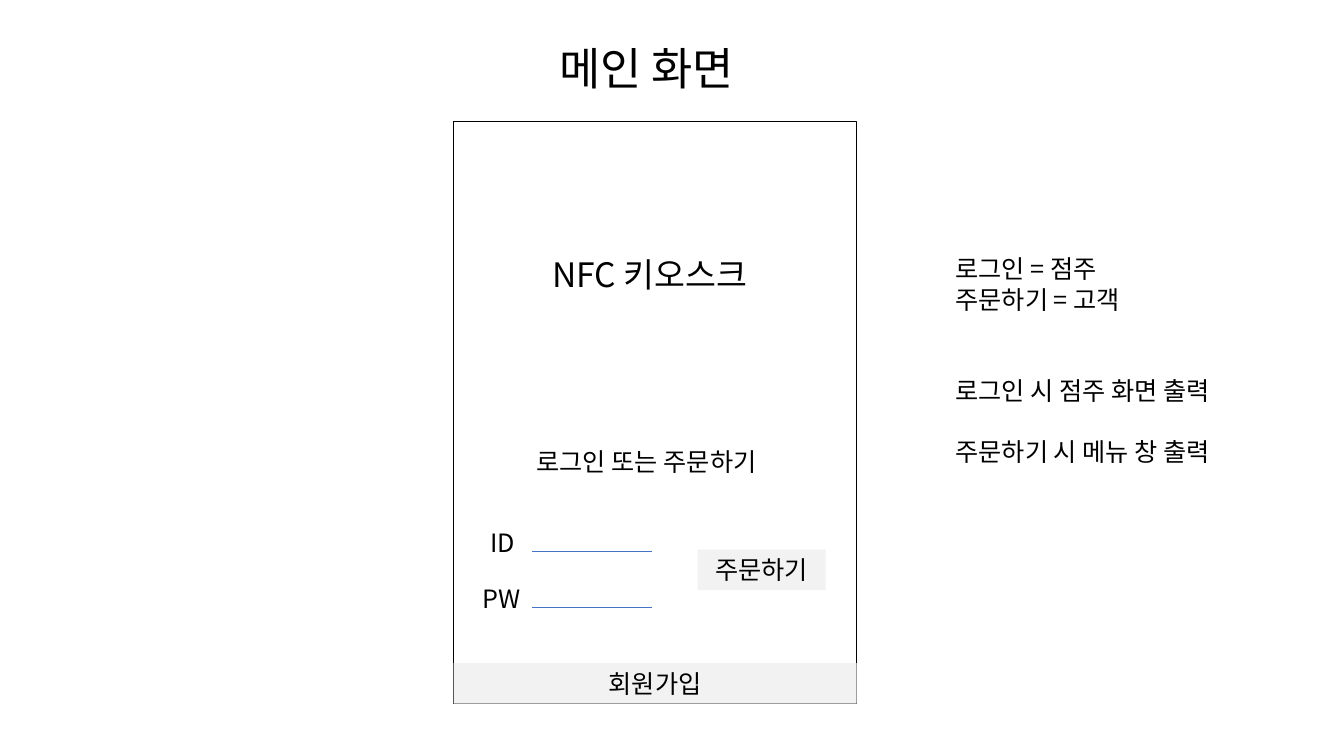
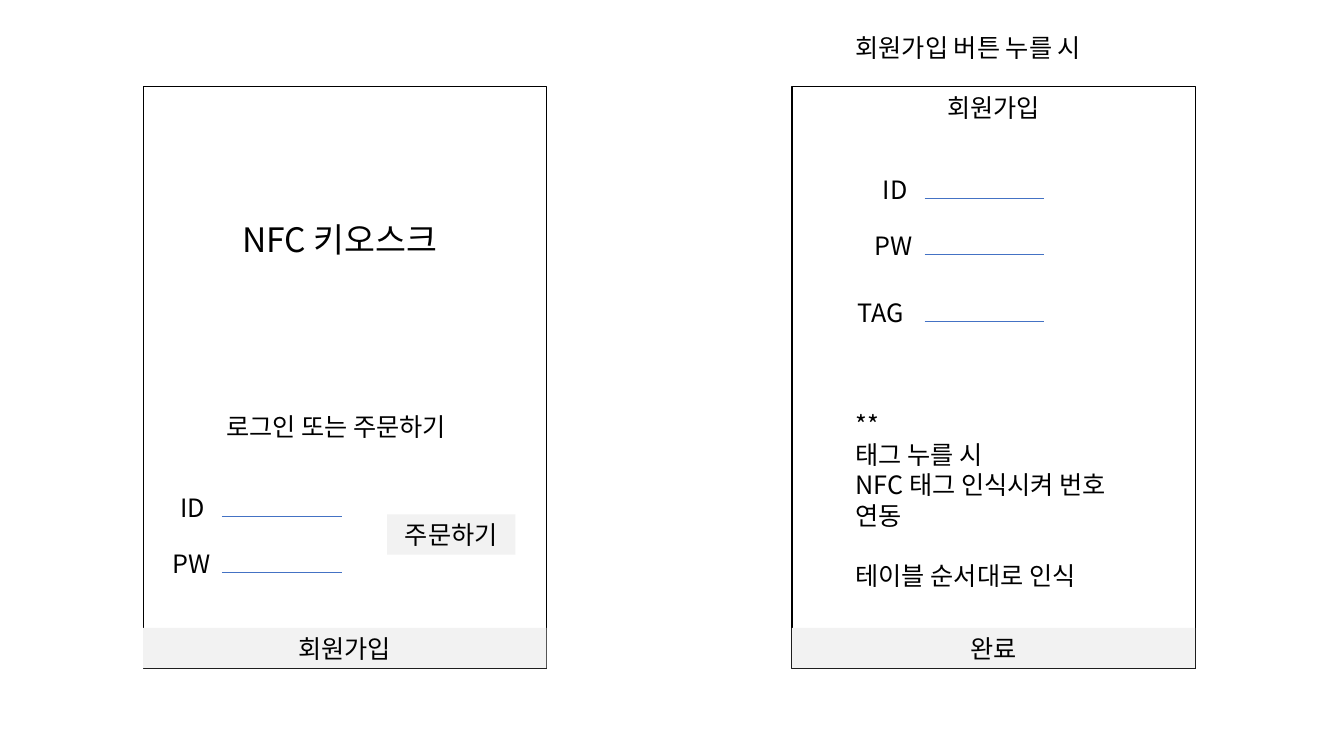
from lxml import etree
from pptx import Presentation
from pptx.dml.color import RGBColor
from pptx.enum.shapes import MSO_CONNECTOR, MSO_SHAPE
from pptx.enum.text import MSO_ANCHOR, PP_ALIGN
from pptx.oxml.ns import qn
from pptx.util import Cm, Pt

RECT = MSO_SHAPE.RECTANGLE
STRAIGHT = MSO_CONNECTOR.STRAIGHT
MIDDLE = MSO_ANCHOR.MIDDLE
LEFT, CENTER = PP_ALIGN.LEFT, PP_ALIGN.CENTER

FONT = "Noto Sans CJK KR"
BLACK, GRAY, BLUE = "000000", "F2F2F2", "4472C4"
BODY, HEADING, TITLE = 18, 24, 32
BLANK_LINE = 21.75

SCREEN_W, SCREEN_H = 10.16, 14.66
ROW_H = 1.02
FIELD_W = 3.02
LABEL_W = {"ID": 1.35, "PW": 1.55, "TAG": 1.98}


def color(value):
    return RGBColor.from_string(value)


def write(tf, lines, size=BODY, align=LEFT):
    tf.word_wrap = True
    for i, (text, blanks) in enumerate(lines):
        p = tf.add_paragraph() if i else tf.paragraphs[0]
        p.text = text
        p.alignment = align
        p.space_before = Pt(blanks * BLANK_LINE)
        p.font.size = Pt(size)
        p.font.color.rgb = color(BLACK)
        p.font.name = FONT
        props = p._p.pPr.find(qn("a:defRPr"))
        etree.SubElement(props, qn("a:ea")).set("typeface", FONT)


def add_text(slide, x, y, w, h, lines, size=BODY, align=LEFT):
    if isinstance(lines, str):
        lines = [(lines, 0)]
    sp = slide.shapes.add_textbox(Cm(x), Cm(y), Cm(w), Cm(h))
    write(sp.text_frame, lines, size, align)


def add_rect(slide, x, y, w, h):
    sp = slide.shapes.add_shape(RECT, Cm(x), Cm(y), Cm(w), Cm(h))
    sp.shadow.inherit = False
    return sp


def add_frame(slide, x, y):
    sp = add_rect(slide, x, y, SCREEN_W, SCREEN_H)
    sp.fill.background()
    sp.line.color.rgb = color(BLACK)
    sp.line.width = Pt(0.75)


def add_button(slide, x, y, w, text):
    sp = add_rect(slide, x, y, w, ROW_H)
    sp.fill.solid()
    sp.fill.fore_color.rgb = color(GRAY)
    sp.line.fill.background()
    sp.text_frame.vertical_anchor = MIDDLE
    write(sp.text_frame, [(text, 0)], align=CENTER)


def add_footer_button(slide, x, y, text):
    add_button(slide, x, y + SCREEN_H - ROW_H, SCREEN_W, text)


def add_field(slide, x, y, label):
    w = LABEL_W[label]
    add_text(slide, x + 0.05 - w, y - 0.73, w, ROW_H, label)
    line = slide.shapes.add_connector(STRAIGHT, Cm(x), Cm(y), Cm(x + FIELD_W), Cm(y))
    line.line.color.rgb = color(BLUE)
    line.line.width = Pt(0.5)
    etree.SubElement(line._element.spPr, qn("a:effectLst"))


def add_main_screen(slide, x, y):
    add_frame(slide, x, y)
    add_text(slide, x + 2.24, y + 3.2, 5.89, 1.27, "NFC 키오스크", HEADING)
    add_text(slide, x + 1.84, y + 8.05, 7.32, ROW_H, "로그인 또는 주문하기")
    for label, dy in (("ID", 10.82), ("PW", 12.24)):
        add_field(slide, x + 1.98, y + dy, label)
    add_button(slide, x + 6.15, y + 10.78, 3.23, "주문하기")
    add_footer_button(slide, x, y, "회원가입")


def add_signup_screen(slide, x, y):
    add_frame(slide, x, y)
    add_text(slide, x, y + 0.03, SCREEN_W, ROW_H, "회원가입", align=CENTER)
    for label, dy in (("ID", 2.82), ("PW", 4.24), ("TAG", 5.92)):
        add_field(slide, x + 3.34, y + dy, label)
    add_text(slide, x + 1.35, y + 8.01, 7.72, 4.88, [
        ("**", 0),
        ("태그 누를 시", 0),
        ("NFC 태그 인식시켜 번호 연동", 0),
        ("테이블 순서대로 인식", 1),
    ])
    add_footer_button(slide, x, y, "완료")


def build_main_slide(slide):
    add_text(slide, 13.84, 0.89, 6.12, 1.63, "메인 화면", TITLE)
    add_main_screen(slide, 11.43, 3.07)
    add_text(slide, 23.83, 6.27, 8.23, 5.64, [
        ("로그인 = 점주", 0),
        ("주문하기 = 고객", 0),
        ("로그인 시 점주 화면 출력", 2),
        ("주문하기 시 메뉴 창 출력", 1),
    ])


def build_signup_slide(slide):
    add_main_screen(slide, 3.61, 2.18)
    add_text(slide, 21.31, 0.69, 8.38, ROW_H, "회원가입 버튼 누를 시")
    add_signup_screen(slide, 19.96, 2.18)


def main():
    prs = Presentation()
    prs.slide_width, prs.slide_height = Cm(33.87), Cm(19.05)
    for build in (build_main_slide, build_signup_slide):
        build(prs.slides.add_slide(prs.slide_layouts[6]))
    prs.save("out.pptx")


if __name__ == "__main__":
    main()
